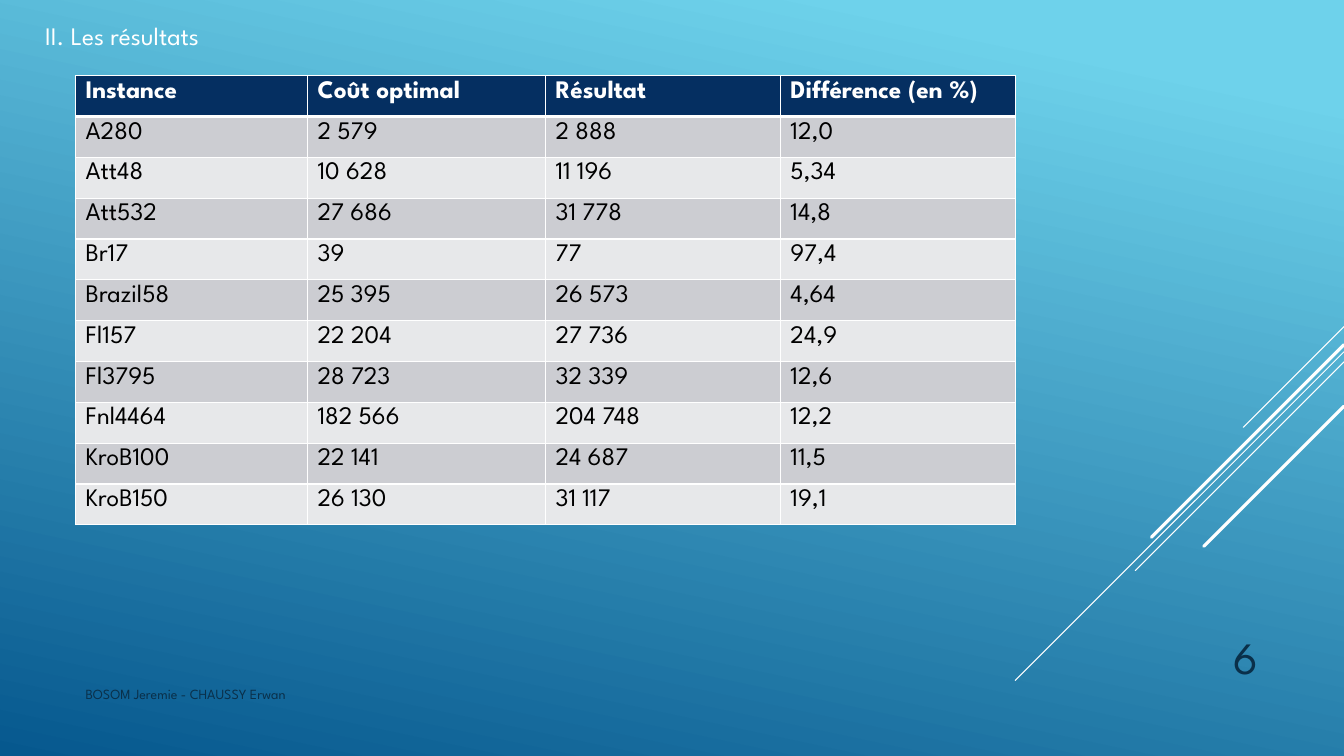
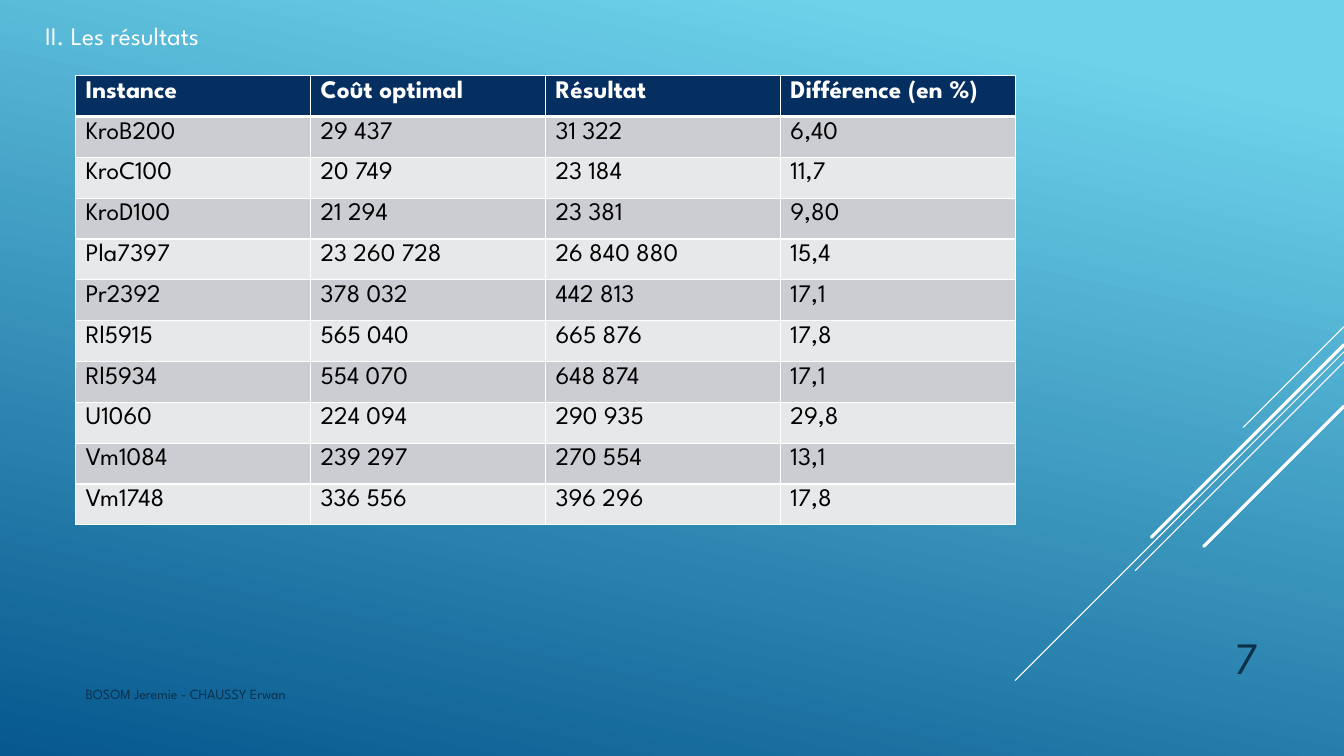
"""Build two slides of benchmark results, each with one table."""
from dataclasses import dataclass

import pptx
import pptx.dml.color
import pptx.enum.shapes
import pptx.enum.text
import pptx.oxml.ns
import pptx.util
from lxml import etree

Inches = pptx.util.Inches
Pt = pptx.util.Pt
RGB = pptx.dml.color.RGBColor.from_string
qn = pptx.oxml.ns.qn
PP_ALIGN = pptx.enum.text.PP_ALIGN
MSO_ANCHOR = pptx.enum.text.MSO_ANCHOR


@dataclass(frozen=True)
class Theme:
    """Colours, font and type sizes shared by the slides."""
    font: str = "League Spartan"
    white: str = "FFFFFF"
    black: str = "000000"
    muted: str = "0A304A"
    header: str = "052F61"
    bands: tuple = ("CCCDD2", "E7E8EA")
    gradient: tuple = ((0.1, "6ED2EB"), (1, "06588E"))
    gradient_angle: int = 258
    body_size: int = 18
    footer_size: int = 10
    number_size: int = 32


THEME = Theme()
WIDTH, HEIGHT = 13.33, 7.5
TITLE = "II. Les résultats"
AUTHORS = "BOSOM Jeremie - CHAUSSY Erwan"
HEADERS = ("Instance", "Coût optimal", "Résultat", "Différence (en %)")
TABLE_LEFT, TABLE_TOP, TABLE_HEIGHT = 0.75, 0.75, 4.46
DIAGONALS = (
    (3.24, 1, 0.75),
    (3.49, 3.26, 0.75),
    (3.59, 2.07, 0.75),
    (3.42, 1.91, 2.25),
    (4.03, 1.39, 2.25),
)
SLIDES = (
    (6, (2.3, 2.36, 2.33, 2.33), (
        ("A280", "2 579", "2 888", "12,0"),
        ("Att48", "10 628", "11 196", "5,34"),
        ("Att532", "27 686", "31 778", "14,8"),
        ("Br17", "39", "77", "97,4"),
        ("Brazil58", "25 395", "26 573", "4,64"),
        ("Fl157", "22 204", "27 736", "24,9"),
        ("Fl3795", "28 723", "32 339", "12,6"),
        ("Fnl4464", "182 566", "204 748", "12,2"),
        ("KroB100", "22 141", "24 687", "11,5"),
        ("KroB150", "26 130", "31 117", "19,1"),
    )),
    (7, (2.33,) * 4, (
        ("KroB200", "29 437", "31 322", "6,40"),
        ("KroC100", "20 749", "23 184", "11,7"),
        ("KroD100", "21 294", "23 381", "9,80"),
        ("Pla7397", "23 260 728", "26 840 880", "15,4"),
        ("Pr2392", "378 032", "442 813", "17,1"),
        ("Rl5915", "565 040", "665 876", "17,8"),
        ("Rl5934", "554 070", "648 874", "17,1"),
        ("U1060", "224 094", "290 935", "29,8"),
        ("Vm1084", "239 297", "270 554", "13,1"),
        ("Vm1748", "336 556", "396 296", "17,8"),
    )),
)


def write(tf, text, size=THEME.body_size, color=THEME.white, bold=False,
          align=PP_ALIGN.LEFT):
    """Write one formatted paragraph into a text frame."""
    p = tf.paragraphs[0]
    p.alignment = align
    r = p.add_run()
    r.text = text
    r.font.name = THEME.font
    r.font.size = Pt(size)
    r.font.bold = bold
    r.font.color.rgb = RGB(color)


def add_text(s, box, text, anchor=MSO_ANCHOR.TOP, **fmt):
    """Add a wrapping text box at left, top, width, height."""
    tf = s.shapes.add_textbox(*map(Inches, box)).text_frame
    tf.word_wrap = True
    tf.vertical_anchor = anchor
    write(tf, text, **fmt)


def set_background(s):
    """Fill the slide background with the theme gradient."""
    fill = s.background.fill
    fill.gradient()
    fill.gradient_angle = THEME.gradient_angle
    for stop, (position, color) in zip(fill.gradient_stops, THEME.gradient):
        stop.position = position
        stop.color.rgb = RGB(color)


def add_diagonal(s, top, reach, weight):
    """Add a 45-degree line running down from the right edge."""
    sp = s.shapes.add_connector(
        pptx.enum.shapes.MSO_CONNECTOR.STRAIGHT,
        Inches(WIDTH), Inches(top), Inches(WIDTH - reach), Inches(top + reach))
    sp.line.color.rgb = RGB(THEME.white)
    sp.line.width = Pt(weight)
    sp_pr = sp.element.spPr
    sp_pr.find(qn("a:ln")).set("cap", "rnd")
    etree.SubElement(sp_pr, qn("a:effectLst"))


def set_borders(cell, **weights):
    """Draw white cell borders with the given weight for each side."""
    tc_pr = cell._tc.get_or_add_tcPr()
    for side, weight in weights.items():
        ln = etree.SubElement(tc_pr, qn(f"a:ln{side}"), w=str(Pt(weight)))
        fill = etree.SubElement(ln, qn("a:solidFill"))
        etree.SubElement(fill, qn("a:srgbClr"), val=THEME.white)


def add_results(s, widths, rows):
    """Add the results table with a dark header and banded rows."""
    lines = (HEADERS, *rows)
    table = s.shapes.add_table(
        len(lines), len(HEADERS), Inches(TABLE_LEFT), Inches(TABLE_TOP),
        Inches(sum(widths)), Inches(TABLE_HEIGHT)).table
    table.horz_banding = False
    for column, width in zip(table.columns, widths):
        column.width = Inches(width)
    for i, line in enumerate(lines):
        table.rows[i].height = Inches(TABLE_HEIGHT / len(lines))
        is_header = i == 0
        fill = THEME.header if is_header else THEME.bands[(i - 1) % 2]
        color = THEME.white if is_header else THEME.black
        for j, text in enumerate(line):
            cell = table.cell(i, j)
            set_borders(cell, L=1, R=1, T=3 if i == 1 else 1,
                        B=3 if is_header else 1)
            cell.fill.solid()
            cell.fill.fore_color.rgb = RGB(fill)
            write(cell.text_frame, text, color=color, bold=is_header)


def add_slide(prs, number, widths, rows):
    """Add one complete results slide."""
    s = prs.slides.add_slide(prs.slide_layouts[6])
    set_background(s)
    for diagonal in DIAGONALS:
        add_diagonal(s, *diagonal)
    add_results(s, widths, rows)
    add_text(s, (0.75, 6.75, 8.25, 0.4), AUTHORS,
             size=THEME.footer_size, color=THEME.muted)
    add_text(s, (11.33, 6.1, 1.25, 0.73), str(number), MSO_ANCHOR.BOTTOM,
             size=THEME.number_size, color=THEME.muted, align=PP_ALIGN.RIGHT)
    add_text(s, (0.35, 0.15, 5.51, 0.4), TITLE)


def main():
    """Build and save the presentation."""
    prs = pptx.Presentation()
    prs.slide_width, prs.slide_height = Inches(WIDTH), Inches(HEIGHT)
    for number, widths, rows in SLIDES:
        add_slide(prs, number, widths, rows)
    prs.save("out.pptx")


if __name__ == "__main__":
    main()
